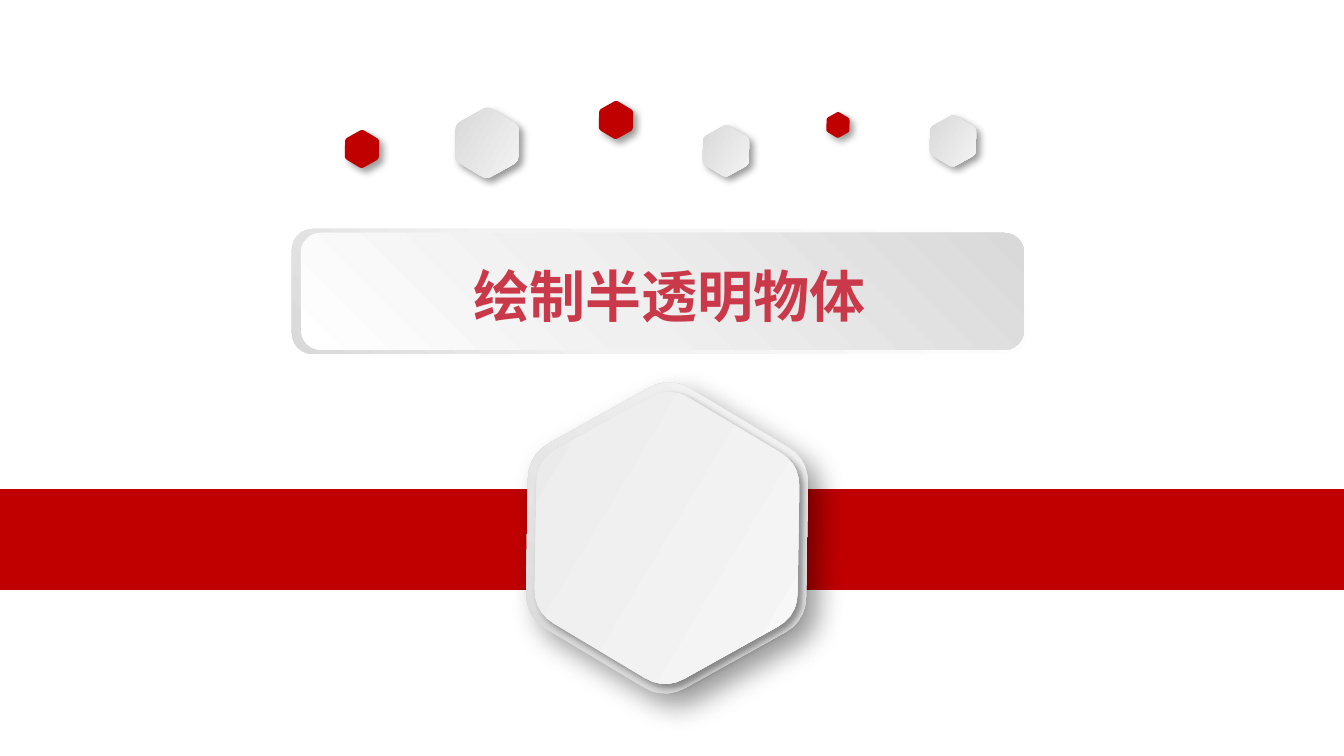
import math
from dataclasses import dataclass

from lxml import etree
from pptx import Presentation
from pptx import util as u
from pptx.dml.color import RGBColor
from pptx.enum import shapes as es, text as et
from pptx.oxml.ns import qn

EMU = 914400 / 134.4  # one px


@dataclass(frozen=True)
class Theme:
    red: str = "C00000"
    title: str = "C9394A"
    shade: str = "000000"
    face: str = "Noto Sans CJK SC"
    size: int = 30
    steel: tuple = ((0, "D3D3D3"), (100, "F9F9F9"))
    pale: tuple = ((0, "E9E9E9"), (100, "F9F9F9"))
    rim: tuple = ((0, "FFFFFF"), (62, "F2F2F2"), (100, "D9D9D9"))
    plate: tuple = ((0, "FFFFFF"), (42, "F0F0F0"), (100, "D9D9D9"))


T = Theme()
TILT = 30.9
ROUND = 0.15  # share of a side cut off at each corner


def px(n):
    return u.Emu(round(n * EMU))


def sub(node, tag, **attrs):
    return etree.SubElement(node, qn(tag), {k: str(v) for k, v in attrs.items()})


def paint(shape, fill, angle=0):
    """Fill with a colour or with gradient stops; the angle runs clockwise."""
    shape.line.fill.background()
    shape.shadow.inherit = False
    if isinstance(fill, str):
        shape.fill.solid()
        shape.fill.fore_color.rgb = RGBColor.from_string(fill)
        return
    shape.fill.gradient()
    shape.fill.gradient_angle = -angle % 360
    stops = shape._element.spPr.find(".//" + qn("a:gsLst"))
    for old in list(stops):
        stops.remove(old)
    for pos, color in fill:
        sub(sub(stops, "a:gs", pos=pos * 1000), "a:srgbClr", val=color)


def shade(shape, blur, dist):
    effects = shape._element.spPr.find(qn("a:effectLst"))
    cast = sub(effects, "a:outerShdw", blurRad=u.Pt(blur), dist=u.Pt(dist),
               dir=45 * 60000, algn="tl", rotWithShape=0)
    sub(sub(cast, "a:srgbClr", val=T.shade), "a:alpha", val=40000)


def block(shapes, kind, box, fill, angle=0):
    shape = shapes.add_shape(kind, *map(px, box))
    paint(shape, fill, angle)
    return shape


def hexagon(shapes, x, y, high, fill, angle=0, blur=4, dist=3):
    """Tilted hexagon with rounded corners, centred on x, y."""
    side = high / math.sqrt(3)
    tips = [(x + side * math.cos(k * math.pi / 3),
             y + side * math.sin(k * math.pi / 3)) for k in range(6)]
    dots = []
    for k, tip in enumerate(tips):
        ends = [[a + ROUND * (b - a) for a, b in zip(tip, near)]
                for near in (tips[k - 1], tips[(k + 1) % 6])]
        for t in (0, 0.2, 0.4, 0.6, 0.8, 1):
            dots.append(tuple(
                round(EMU * ((1 - t) ** 2 * a + 2 * t * (1 - t) * c + t * t * b))
                for a, c, b in zip(ends[0], tip, ends[1])))
    pen = shapes.build_freeform(*dots[0])
    pen.add_line_segments(dots[1:], close=True)
    shape = pen.convert_to_shape()
    shape.rotation = TILT
    paint(shape, fill, angle)
    shade(shape, blur, dist)


def band(slide, box):
    block(slide.shapes, es.MSO_SHAPE.RECTANGLE, box, T.red)


def beads(slide, box):
    """Row of small hexagons: centre x, centre y, height, fill."""
    left, top = box[:2]
    for x, y, high, fill in ((143, 43, 63, T.steel), (272, 20, 34, T.red),
                             (18, 49, 34, T.red), (382, 51, 46, T.steel),
                             (494, 25, 23, T.red), (609, 41, 46, T.steel)):
        hexagon(slide.shapes, left + x, top + y, high, fill)


def badge(slide, box):
    """Two stacked hexagons in the middle of the band."""
    left, top, wide, high = box
    x, y = left + wide / 2, top + high / 2
    group = slide.shapes.add_group_shape().shapes
    hexagon(group, x, y, high, T.steel, 270, blur=15, dist=9)
    hexagon(group, x, y, high - 17, T.pale)


def panel(slide, box):
    """Framed plate with the title on top."""
    left, top, wide, high = box
    group = slide.shapes.add_group_shape().shapes
    kind = es.MSO_SHAPE.ROUNDED_RECTANGLE
    block(group, kind, box, T.rim, 135)
    block(group, kind, (left + 9, top + 4, wide - 13, high - 8), T.plate, 315)

    title = slide.shapes.title
    title.left, title.top = px(left + 10), px(top + 26)
    title.width, title.height = px(wide), px(81)
    slide.shapes._spTree.append(title._element)  # bring to front
    frame = title.text_frame
    frame.word_wrap = True
    frame.auto_size = et.MSO_AUTO_SIZE.SHAPE_TO_FIT_TEXT
    frame.vertical_anchor = et.MSO_ANCHOR.TOP
    para = frame.paragraphs[0]
    para.alignment = et.PP_ALIGN.CENTER
    run = para.add_run()
    run.text = "绘制半透明物体"
    run.font.size = u.Pt(T.size)
    run.font.bold = True
    run.font.name = T.face
    run.font.color.rgb = RGBColor.from_string(T.title)
    sub(run._r.get_or_add_rPr(), "a:ea", typeface=T.face)


def main():
    deck = Presentation()
    deck.slide_width, deck.slide_height = px(1344), px(756)
    slide = deck.slides.add_slide(deck.slide_layouts[5])
    band(slide, (0, 489, 1344, 101))
    beads(slide, (344, 100, 634, 80))
    badge(slide, (512, 398, 310, 280))
    panel(slide, (292, 229, 736, 125))
    deck.save("out.pptx")


if __name__ == "__main__":
    main()
